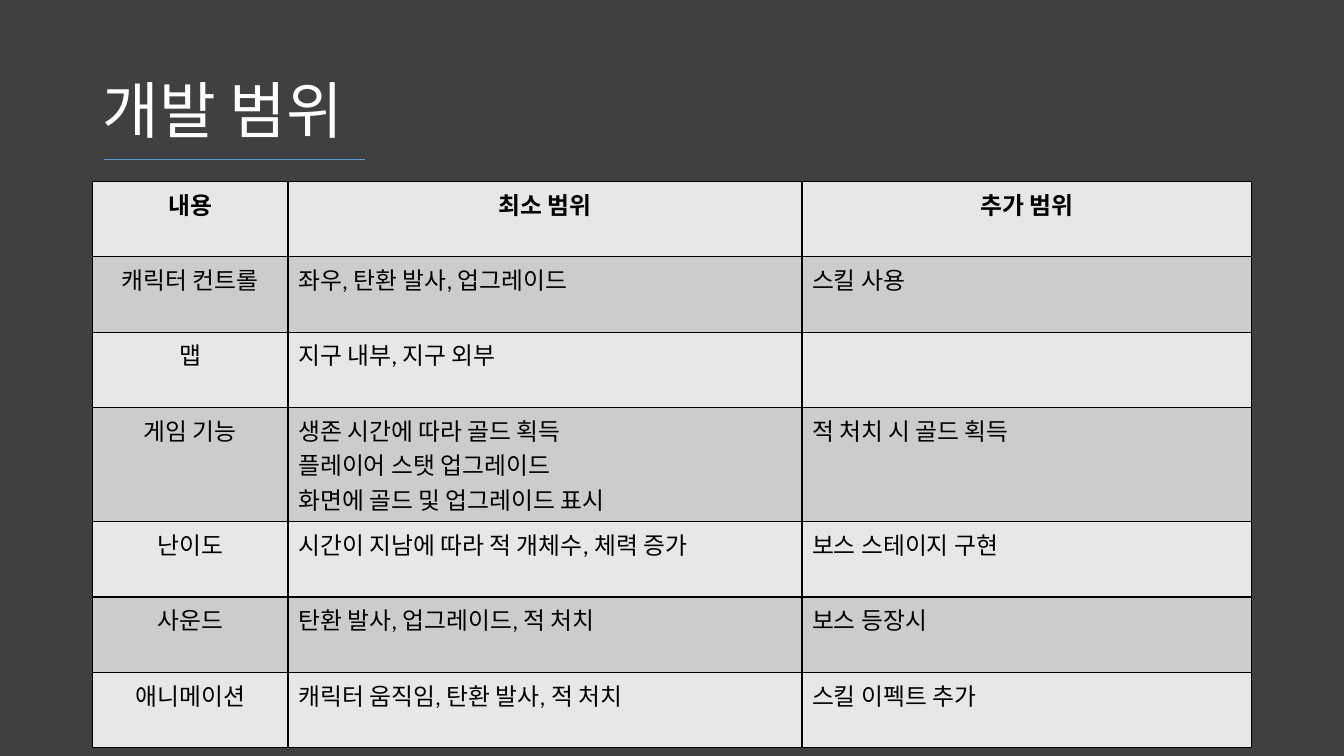
"""Build the development scope slide with its title, rule and scope table."""
from dataclasses import dataclass

from lxml import etree
from pptx import Presentation, util as u
from pptx.dml.color import RGBColor
from pptx.enum import shapes, text
from pptx.oxml import ns


@dataclass(frozen=True)
class Theme:
    back: str = "404040"
    light: str = "E7E7E7"
    dark: str = "CCCCCC"
    ink: str = "000000"
    white: str = "FFFFFF"
    blue: str = "5B9BD5"
    font: str = "Calibri"
    head: float = 44
    body: float = 17
    edge: float = 1
    rule: float = 0.5


@dataclass(frozen=True)
class Row:
    topic: str
    core: str
    extra: str = ""
    high: float = 1.9


LOOK = Theme()
LEFT, WIDE = 2.33, 29.21
COLS = (4.93, 12.95, 11.33)
ROWS = (
    Row("내용", "최소 범위", "추가 범위"),
    Row("캐릭터 컨트롤", "좌우, 탄환 발사, 업그레이드", "스킬 사용"),
    Row("맵", "지구 내부, 지구 외부"),
    Row("게임 기능",
        "생존 시간에 따라 골드 획득\n플레이어 스탯 업그레이드\n화면에 골드 및 업그레이드 표시",
        "적 처치 시 골드 획득", 2.31),
    Row("난이도", "시간이 지남에 따라 적 개체수, 체력 증가", "보스 스테이지 구현"),
    Row("사운드", "탄환 발사, 업그레이드, 적 처치", "보스 등장시"),
    Row("애니메이션", "캐릭터 움직임, 탄환 발사, 적 처치", "스킬 이펙트 추가"),
)


def rgb(code: str) -> RGBColor:
    return RGBColor.from_string(code)


def write(frame, words: str, *, size: float, color: str, bold: bool = False,
          align=text.PP_ALIGN.LEFT, space: float = 1.0) -> None:
    frame.text = words
    for para in frame.paragraphs:
        para.alignment = align
        para.line_spacing = space
        font = para.font
        font.size = u.Pt(size)
        for run in para.runs:
            font = run.font
            font.name = LOOK.font
            font.size = u.Pt(size)
            font.bold = bold
            font.color.rgb = rgb(color)


def border(cell) -> None:
    props = cell._tc.get_or_add_tcPr()
    for side in "LRTB":
        line = etree.SubElement(props, ns.qn(f"a:ln{side}"), w=str(u.Pt(LOOK.edge)))
        fill = etree.SubElement(line, ns.qn("a:solidFill"))
        etree.SubElement(fill, ns.qn("a:srgbClr"), val=LOOK.ink)


def title(slide, words: str) -> None:
    box = slide.shapes.title
    box.left, box.top = u.Cm(LEFT), u.Cm(1.02)
    box.width, box.height = u.Cm(WIDE), u.Cm(3.68)
    frame = box.text_frame
    frame.word_wrap = True
    frame.auto_size = text.MSO_AUTO_SIZE.NONE
    frame.vertical_anchor = text.MSO_ANCHOR.MIDDLE
    write(frame, words, size=LOOK.head, color=LOOK.white, space=0.9)


def grid(slide, rows: tuple[Row, ...]) -> None:
    high = sum(row.high for row in rows)
    table = slide.shapes.add_table(len(rows), len(COLS), u.Cm(LEFT), u.Cm(4.57),
                                   u.Cm(WIDE), u.Cm(high)).table
    table.horz_banding = False
    for col, wide in zip(table.columns, COLS):
        col.width = u.Cm(wide)
    for r, row in enumerate(rows):
        table.rows[r].height = u.Cm(row.high)
        for c, words in enumerate((row.topic, row.core, row.extra)):
            cell = table.cell(r, c)
            border(cell)
            cell.fill.solid()
            cell.fill.fore_color.rgb = rgb(LOOK.dark if r % 2 else LOOK.light)
            mid = r == 0 or c == 0
            write(cell.text_frame, words, size=LOOK.body, color=LOOK.ink, bold=r == 0,
                  align=text.PP_ALIGN.CENTER if mid else text.PP_ALIGN.LEFT)


def rule(slide, start: float, end: float, top: float) -> None:
    line = slide.shapes.add_connector(shapes.MSO_CONNECTOR.STRAIGHT, u.Cm(start),
                                      u.Cm(top), u.Cm(end), u.Cm(top))
    line.line.color.rgb = rgb(LOOK.blue)
    line.line.width = u.Pt(LOOK.rule)
    etree.SubElement(line._element.spPr, ns.qn("a:effectLst"))


def main() -> None:
    deck = Presentation()
    deck.slide_width, deck.slide_height = u.Cm(33.87), u.Cm(19.05)
    slide = deck.slides.add_slide(deck.slide_layouts.get_by_name("Title Only"))
    slide.background.fill.solid()
    slide.background.fill.fore_color.rgb = rgb(LOOK.back)
    title(slide, "개발 범위")
    grid(slide, ROWS)
    rule(slide, 2.62, 9.2, 4.01)
    deck.save("out.pptx")


main()
